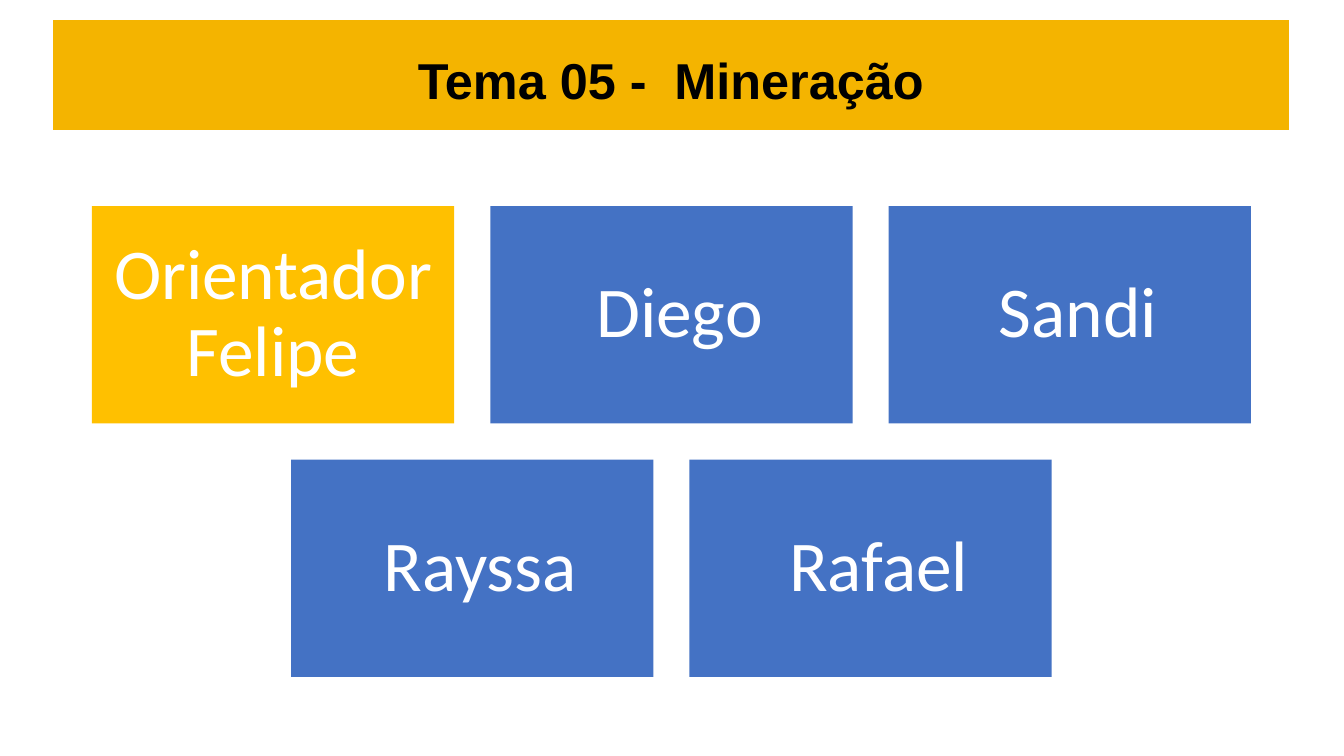
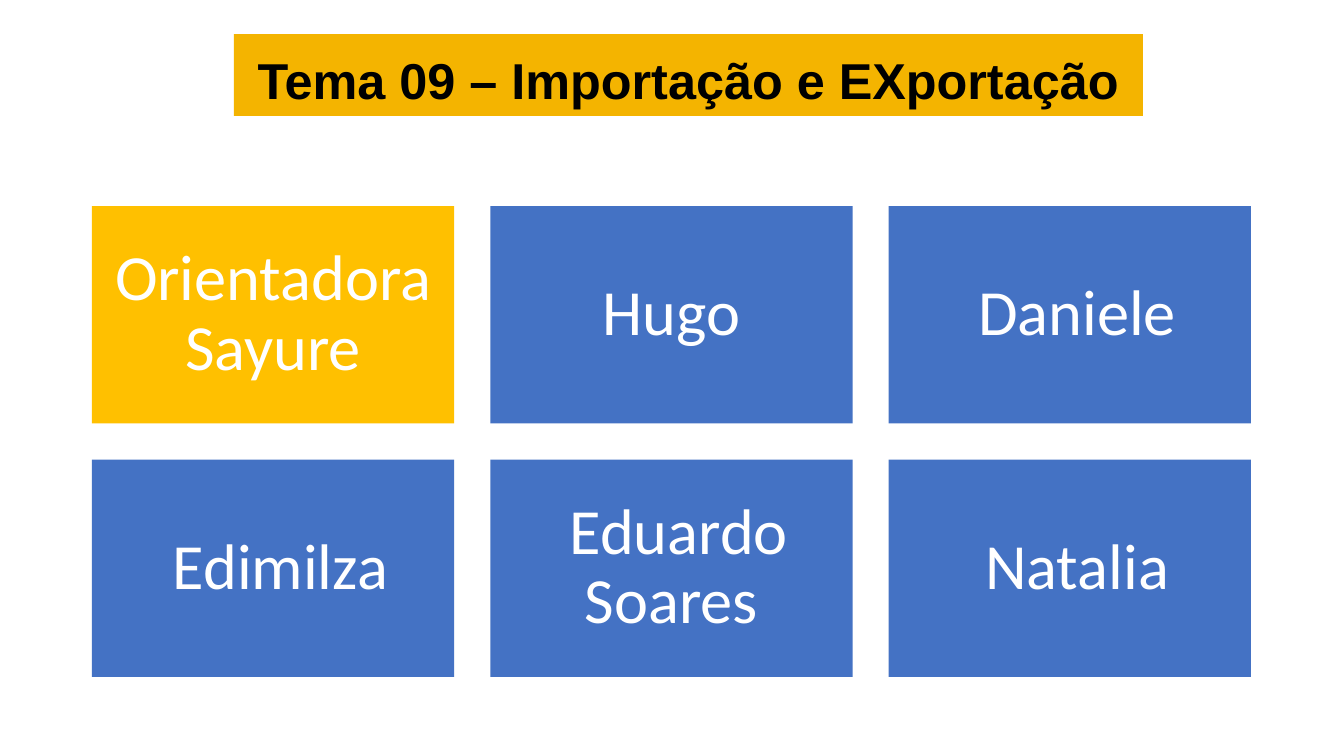
from pptx import Presentation
from pptx.dml.color import RGBColor
from pptx.enum.shapes import MSO_SHAPE
from pptx.enum.text import MSO_ANCHOR, MSO_AUTO_SIZE, PP_ALIGN
from pptx.util import Emu, Pt

EMU_PER_PX = 914400 / 100.8
TITLE_ONLY = 5

BAND = "F4B400"
ADVISOR = "FFC000"
MEMBER = "4472C4"
WHITE = "FFFFFF"
BLACK = "000000"

GRID_BOX = (92, 206, 1159, 471)
COLUMNS = 3
GAP = 36

TEAMS = [
    {
        "theme": "Tema 05 -  Mineração",
        "band": (53, 20, 1236, 110),
        "people": ["Orientador Felipe", " Diego", " Sandi", " Rayssa", " Rafael"],
        "size": 51,
        "inset": 21,
    },
    {
        "theme": "Tema 09 – Importação e EXportação",
        "band": (234, 34, 909, 82),
        "people": ["Orientadora Sayure", "Hugo", " Daniele",
                   " Edimilza", " Eduardo Soares", " Natalia"],
        "size": 46,
        "inset": 19,
    },
]


def px(length):
    return Emu(round(length * EMU_PER_PX))


def paint(fill, colour):
    fill.solid()
    fill.fore_color.rgb = RGBColor.from_string(colour)


def write(shape, text, font, size, colour, inset, spacing, bold=False):
    """Put one centred paragraph in the middle of a shape."""
    frame = shape.text_frame
    frame.word_wrap = True
    frame.auto_size = MSO_AUTO_SIZE.NONE
    frame.vertical_anchor = MSO_ANCHOR.MIDDLE
    frame.margin_left = frame.margin_right = px(inset)
    frame.margin_top = frame.margin_bottom = px(inset)
    paragraph = frame.paragraphs[0]
    paragraph.alignment = PP_ALIGN.CENTER
    paragraph.line_spacing = spacing
    run = paragraph.add_run()
    run.text = text
    run.font.name = font
    run.font.size = Pt(size)
    run.font.bold = bold
    paint(run.font.fill, colour)


def add_title_band(slide, box, theme):
    title = slide.shapes.title
    title.left, title.top, title.width, title.height = map(px, box)
    paint(title.fill, BAND)
    write(title, theme, "Arial", 36, BLACK, 10, 1.15, bold=True)


def add_card(slide, box, person, colour, size, inset):
    card = slide.shapes.add_shape(MSO_SHAPE.RECTANGLE, *map(px, box))
    card.shadow.inherit = False
    paint(card.fill, colour)
    card.line.fill.background()
    write(card, person, "Calibri", size, WHITE, inset, 0.9)


def add_people_grid(slide, box, people, size, inset):
    """Lay out cards row by row, advisor first, with a short row centred."""
    left, top, width, height = box
    rows = [people[i:i + COLUMNS] for i in range(0, len(people), COLUMNS)]
    card_width = (width - GAP * (COLUMNS - 1)) / COLUMNS
    card_height = (height - GAP * (len(rows) - 1)) / len(rows)
    for row_index, row in enumerate(rows):
        row_left = left + (COLUMNS - len(row)) * (card_width + GAP) / 2
        card_top = top + row_index * (card_height + GAP)
        for column, person in enumerate(row):
            card_left = row_left + column * (card_width + GAP)
            colour = ADVISOR if row_index == column == 0 else MEMBER
            add_card(slide, (card_left, card_top, card_width, card_height),
                     person, colour, size, inset)


def add_team_slide(deck, team):
    slide = deck.slides.add_slide(deck.slide_layouts[TITLE_ONLY])
    add_title_band(slide, team["band"], team["theme"])
    add_people_grid(slide, GRID_BOX, team["people"], team["size"], team["inset"])


def main():
    deck = Presentation()
    deck.slide_width, deck.slide_height = px(1344), px(756)
    for team in TEAMS:
        add_team_slide(deck, team)
    deck.save("out.pptx")


if __name__ == "__main__":
    main()
